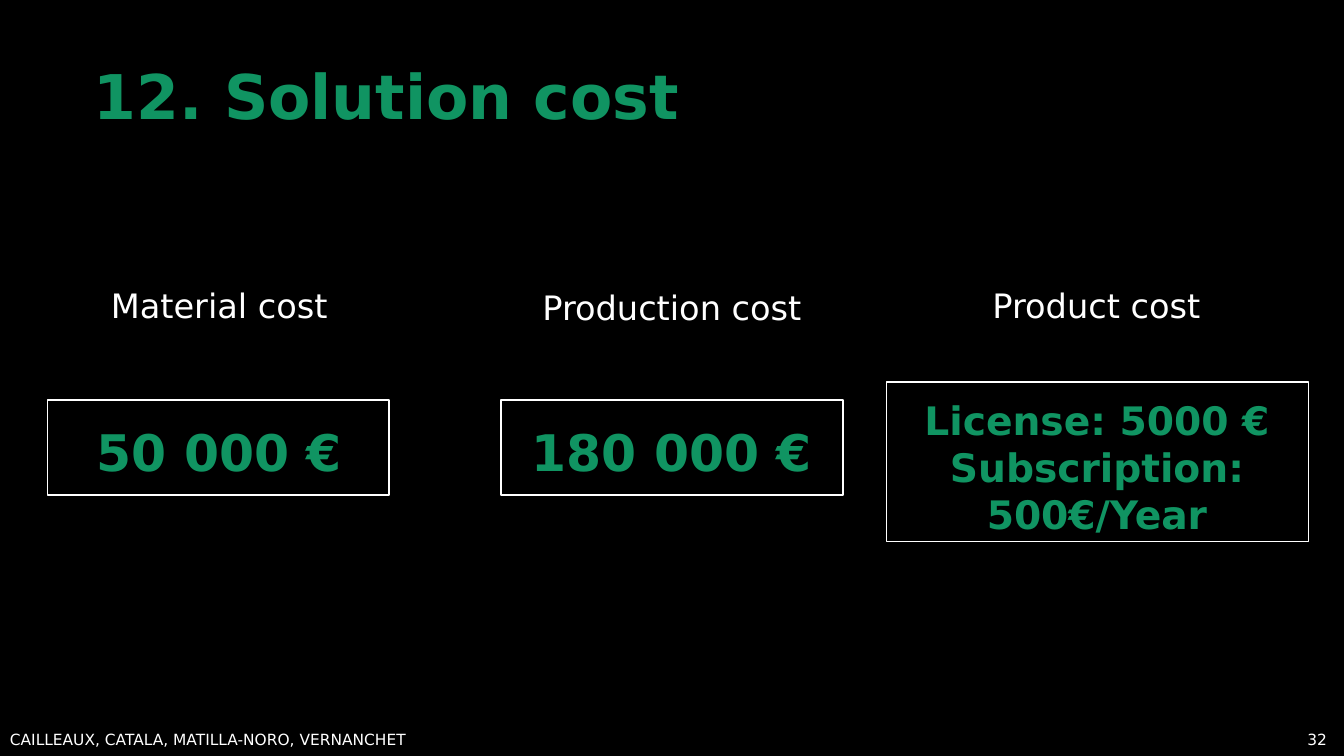
from pptx import Presentation
from pptx.dml.color import RGBColor
from pptx.enum import shapes, text
from pptx.util import Inches, Pt

COLORS = {"background": "000000", "accent": "109462", "light": "FFFFFF"}
FONT = "DejaVu Sans"
ALIGN = text.PP_ALIGN


def write(box, wording, size, color, bold=False, align=ALIGN.LEFT, spacing=1.0):
    frame = box.text_frame
    frame.word_wrap = True
    frame.text = wording
    for para in frame.paragraphs:
        para.alignment = align
        para.line_spacing = spacing
        for span in para.runs:
            span.font.name = FONT
            span.font.size = Pt(size)
            span.font.bold = bold
            span.font.color.rgb = RGBColor.from_string(COLORS[color])


def add_text(area, *style, **options):
    box = page.shapes.add_textbox(*map(Inches, area))
    write(box, *style, **options)


# Page
deck = Presentation()
deck.slide_width, deck.slide_height = Inches(13.33), Inches(7.5)
page = deck.slides.add_slide(deck.slide_layouts[5])
page.background.fill.solid()
page.background.fill.fore_color.rgb = RGBColor.from_string(COLORS["background"])

# Title
title = page.shapes.title
title.left, title.top, title.width, title.height = map(Inches, (0.83, 0.54, 11.67, 0.83))
write(title, "12. Solution cost", 44, "accent", bold=True, spacing=0.9)
title.text_frame.vertical_anchor = text.MSO_ANCHOR.BOTTOM

# Costs: label, label position, amount, size, amount area, frame area
costs = [
    ("Material cost", (0.71, 2.78), "50 000 €", 36,
     (0.57, 4.13, 3.21, 0.71), (0.47, 3.97, 3.39, 0.94)),
    ("Production cost", (5.2, 2.8), "180 000 €", 36,
     (5.06, 4.13, 3.21, 0.71), (4.97, 3.97, 3.39, 0.94)),
    ("Product cost", (9.41, 2.78), "License: 5000 €\nSubscription: 500€/Year", 28,
     (8.9, 3.88, 3.96, 1.51), (8.79, 3.79, 4.19, 1.58)),
]
for label, position, amount, size, amount_area, frame_area in costs:
    add_text((*position, 2.93, 0.5), label, 24, "light", align=ALIGN.CENTER)
    add_text(amount_area, amount, size, "accent", bold=True, align=ALIGN.CENTER)
    outline = page.shapes.add_shape(shapes.MSO_SHAPE.RECTANGLE, *map(Inches, frame_area))
    outline.shadow.inherit = False
    outline.fill.background()
    outline.line.color.rgb = RGBColor.from_string(COLORS["light"])
    outline.line.width = Pt(1)

# Footer and page number
add_text((0, 7.21, 11.73, 0.51), "CAILLEAUX, CATALA, MATILLA-NORO, VERNANCHET",
         11, "light", spacing=0.9)
add_text((12.67, 7.19, 0.59, 0.4), "32", 11, "light", align=ALIGN.RIGHT)

deck.save("out.pptx")
